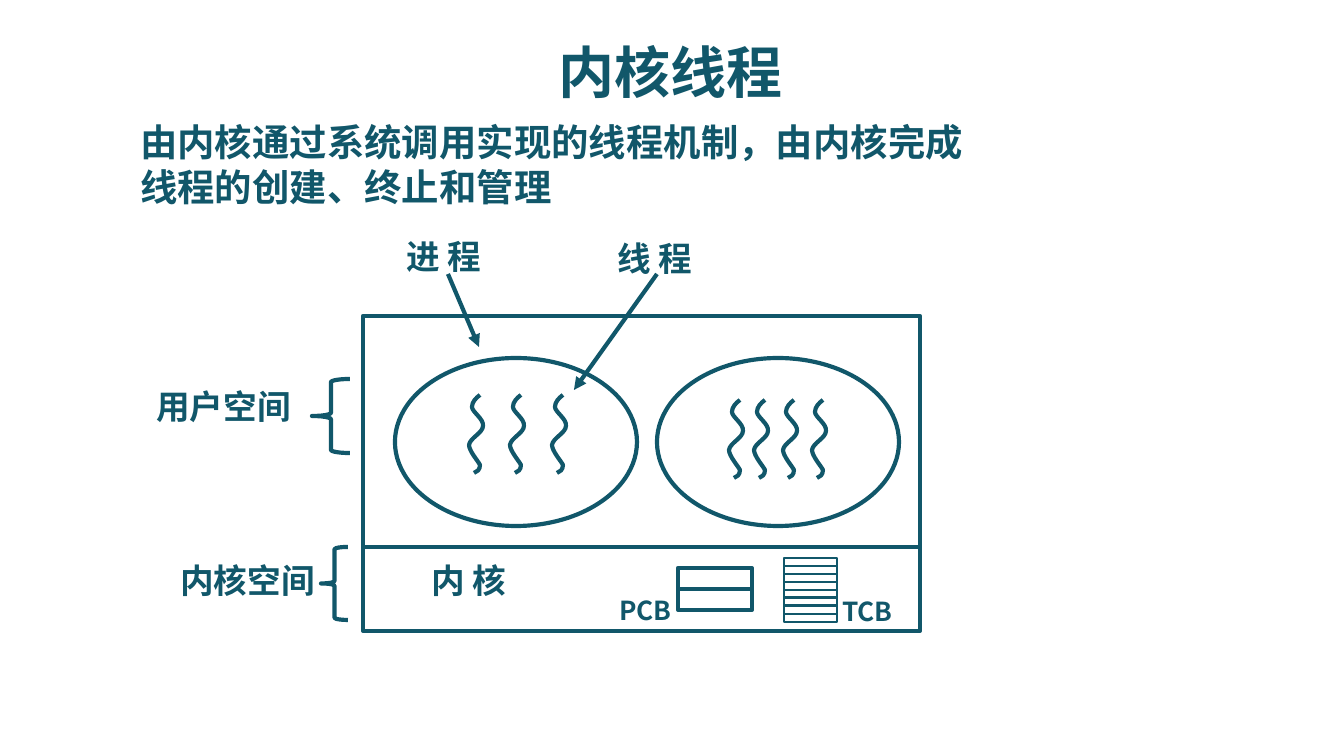
from pptx import Presentation
from pptx.dml.color import RGBColor
from pptx.enum.shapes import MSO_CONNECTOR, MSO_SHAPE
from pptx.enum.text import MSO_ANCHOR, MSO_AUTO_SIZE, PP_ALIGN
from pptx.oxml.ns import qn
from pptx.util import Pt
from lxml import etree

RECTANGLE, OVAL, BRACE = MSO_SHAPE.RECTANGLE, MSO_SHAPE.OVAL, MSO_SHAPE.LEFT_BRACE
STRAIGHT = MSO_CONNECTOR.STRAIGHT
MIDDLE, TOP = MSO_ANCHOR.MIDDLE, MSO_ANCHOR.TOP
LEFT, CENTER = PP_ALIGN.LEFT, PP_ALIGN.CENTER
GROW = MSO_AUTO_SIZE.SHAPE_TO_FIT_TEXT

EMU_PER_PIXEL = 914400 / 134.4
TEAL = "11576A"
FONT = "Noto Sans CJK SC"
LINE_HEIGHT = 1.2

# One thread: its start, then three points for each cubic curve
THREAD_POINTS = [
    (11, 0),
    (7, 3), (3, 7), (3, 12),
    (3, 17), (15, 24), (14, 31),
    (14, 38), (1, 43), (0, 50),
    (0, 56), (9, 66), (11, 70),
    (11, 75), (8, 77), (5, 78),
]


def px(value):
    return round(value * EMU_PER_PIXEL)


def color(hex_text):
    return RGBColor.from_string(hex_text)


def set_line(shape, width=2.25):
    shape.line.color.rgb = color(TEAL)
    shape.line.width = Pt(width)


def set_outline(shape, line_width=2.25):
    shape.shadow.inherit = False
    shape.fill.background()
    set_line(shape, line_width)


def add_outline(slide, kind, left, top, width, height, line_width=2.25):
    shape = slide.shapes.add_shape(kind, px(left), px(top), px(width), px(height))
    set_outline(shape, line_width)


def add_line(slide, start, end, arrow=False):
    connector = slide.shapes.add_connector(
        STRAIGHT, px(start[0]), px(start[1]), px(end[0]), px(end[1]))
    set_line(connector)
    if arrow:
        line = connector.line._get_or_add_ln()
        etree.SubElement(line, qn("a:tailEnd"), type="triangle")
    etree.SubElement(connector._element.spPr, qn("a:effectLst"))


def add_text(slide, text, left, top, width, height, size,
             align=LEFT, anchor=TOP, wrap=False):
    box = slide.shapes.add_textbox(px(left), px(top), px(width), px(height))
    frame = box.text_frame
    frame.text = text
    frame.word_wrap = wrap
    frame.vertical_anchor = anchor
    if not wrap:
        frame.auto_size = GROW
    paragraph = frame.paragraphs[0]
    paragraph.alignment = align
    paragraph.line_spacing = Pt(size * LINE_HEIGHT)
    font = paragraph.runs[0].font
    font.name, font.size, font.bold = FONT, Pt(size), True
    font.color.rgb = color(TEAL)
    etree.SubElement(font._element, qn("a:ea"), typeface=FONT)


def add_thread(slide, left, top):
    points = [(px(left + x), px(top + y)) for x, y in THREAD_POINTS]
    builder = slide.shapes.build_freeform(*points[0])
    builder.add_line_segments(points[1:], close=False)
    thread = builder.convert_to_shape()
    set_outline(thread)
    # Join every three straight segments into one cubic curve
    segments = list(thread._element.iter(qn("a:lnTo")))
    outline = segments[0].getparent()
    for first in range(0, len(segments), 3):
        curve = etree.SubElement(outline, qn("a:cubicBezTo"))
        for segment in segments[first:first + 3]:
            curve.append(segment[0])
            outline.remove(segment)


def add_process(slide, left, top, thread_offsets, thread_top):
    add_outline(slide, OVAL, left, top, 242, 168)
    for offset in thread_offsets:
        add_thread(slide, left + offset, top + thread_top)


def add_block_stack(slide, left, top, width, row_height, rows, line_width):
    for row in range(rows):
        add_outline(slide, RECTANGLE, left, top + row * row_height,
                    width, row_height, line_width)


def add_heading(slide, left, top):
    add_text(slide, "内核线程", left + 266, top, 556, 93, 30, CENTER, MIDDLE, True)
    add_text(slide, "由内核通过系统调用实现的线程机制，由内核完成线程的创建、终止和管理",
             left, top + 88, 870, 105, 20, wrap=True)


def add_user_space(slide, left, top):
    add_process(slide, left + 32, top + 42, (74, 115, 157), 37)
    add_process(slide, left + 294, top + 42, (72, 97, 126, 155), 42)
    # Callouts
    add_text(slide, "进 程", left + 30, top - 87, 105, 54, 18)
    add_text(slide, "线 程", left + 241, top - 85, 105, 54, 18)
    add_line(slide, (left + 85, top - 42), (left + 116, top + 31), arrow=True)
    add_line(slide, (left + 294, top - 42), (left + 211, top + 74), arrow=True)
    # Side label
    add_text(slide, "用户空间", left - 221, top + 63, 163, 54, 18, CENTER)
    add_outline(slide, BRACE, left - 51, top + 63, 38, 74)


def add_kernel_space(slide, left, top, width):
    add_line(slide, (left, top), (left + width, top))
    add_text(slide, "内 核", left + 55, top + 6, 105, 54, 18)
    # Control blocks
    add_block_stack(slide, left + 315, top + 21, 74, 21, 2, 2.25)
    add_text(slide, "PCB", left + 243, top + 41, 81, 46, 14)
    add_block_stack(slide, left + 421, top + 11, 53, 8, 8, 1.5)
    add_text(slide, "TCB", left + 466, top + 42, 78, 46, 14)
    # Side label
    add_text(slide, "内核空间", left - 196, top + 6, 163, 54, 18)
    add_outline(slide, BRACE, left - 42, top, 27, 73)


def add_diagram(slide, left, top, width, height):
    add_outline(slide, RECTANGLE, left, top, width, height)
    add_user_space(slide, left, top)
    add_kernel_space(slide, left, top + 231, width)


presentation = Presentation()
presentation.slide_width, presentation.slide_height = px(1344), px(756)
slide = presentation.slides.add_slide(presentation.slide_layouts[6])
add_heading(slide, 127, 25)
add_diagram(slide, 363, 316, 557, 315)
presentation.save("out.pptx")
